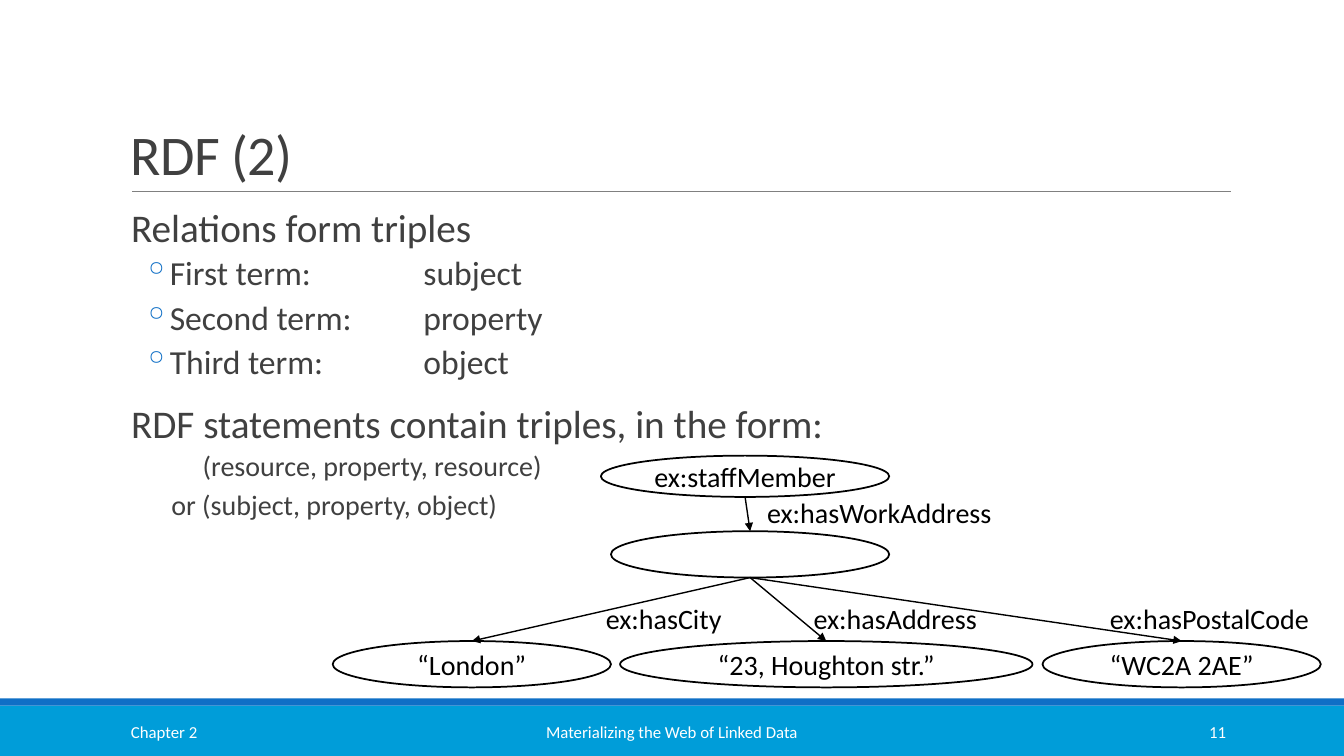
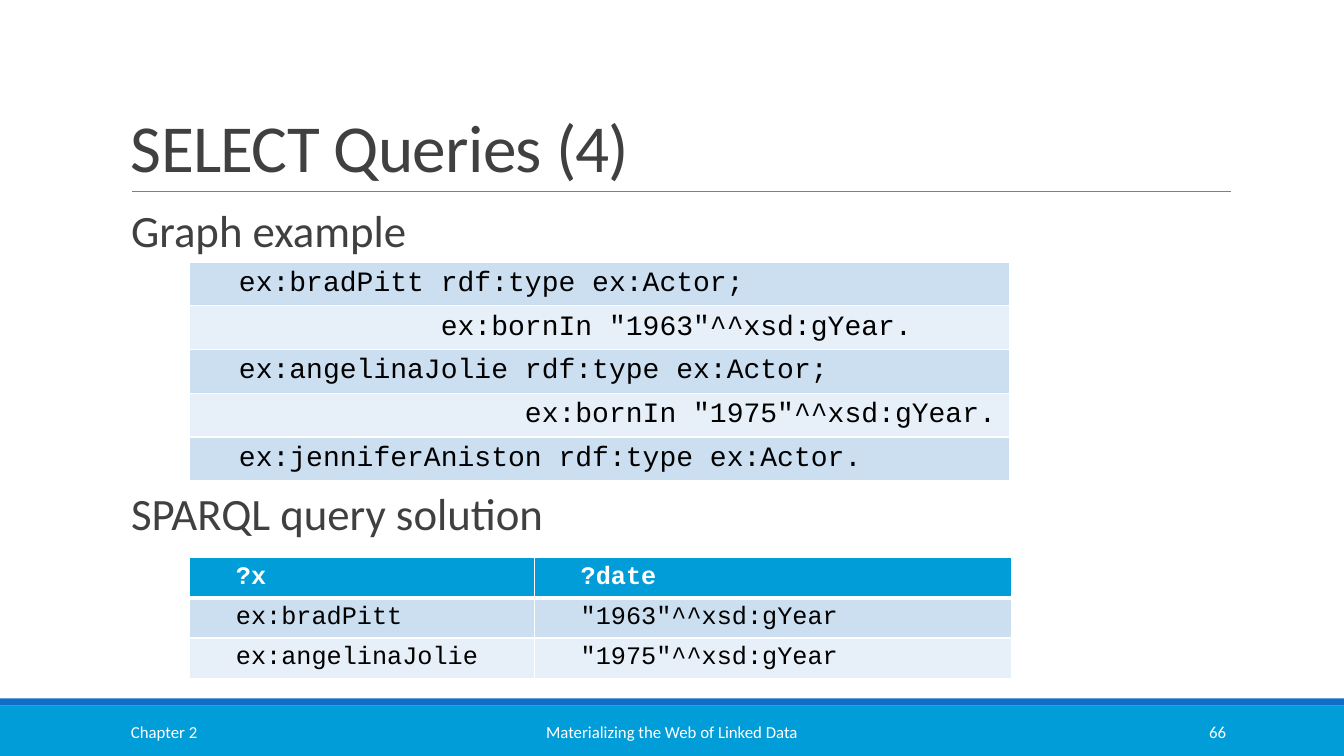
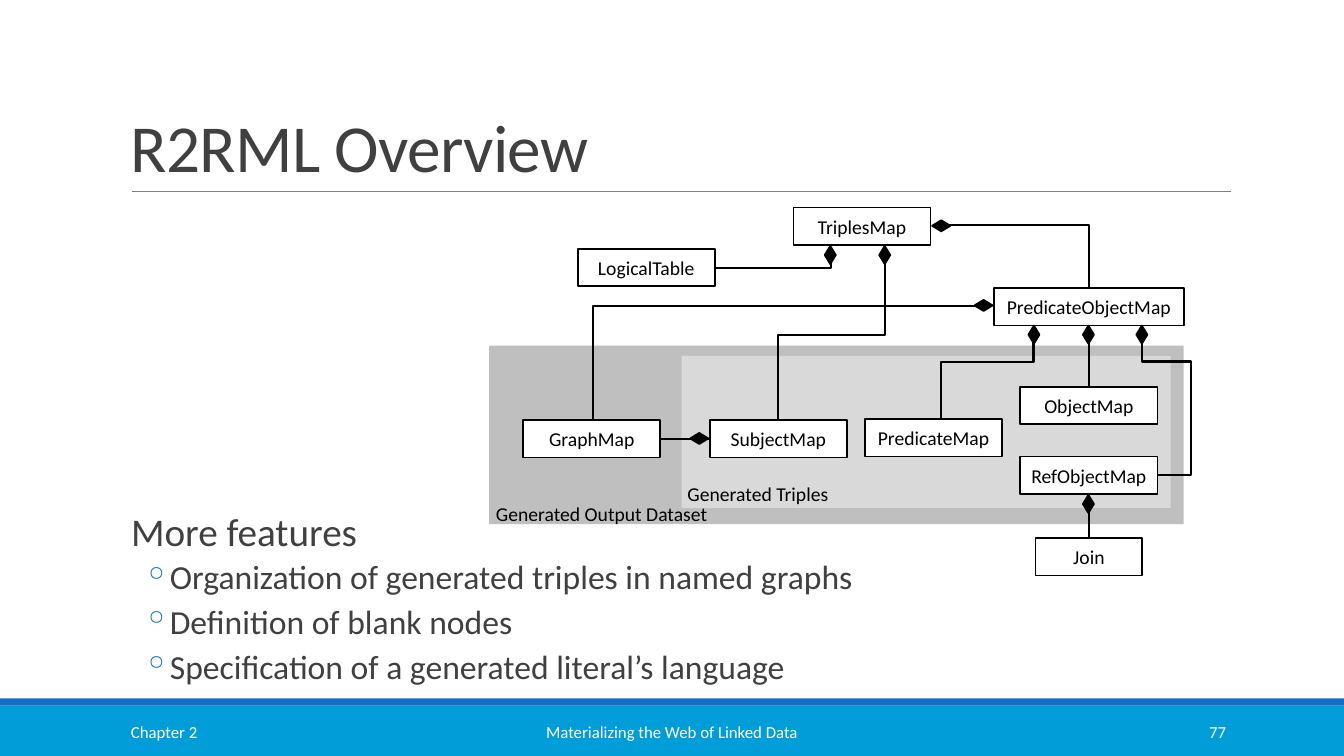
import pptx
import pptx.util
import pptx.dml.color
import pptx.enum.shapes
import pptx.enum.text
import pptx.oxml.ns
import lxml.etree

Inches = pptx.util.Inches
Pt = pptx.util.Pt
KIND = pptx.enum.shapes.MSO_SHAPE
WIRE = pptx.enum.shapes.MSO_CONNECTOR
ALIGN = pptx.enum.text.PP_ALIGN
ANCHOR = pptx.enum.text.MSO_ANCHOR
qn = pptx.oxml.ns.qn

HUES = {
    "band": "009DD9", "strip": "0F6FC6", "rule": "808080", "text": "404040",
    "ink": "000000", "paper": "FFFFFF", "dark": "BFBFBF", "light": "D9D9D9",
    "odd": "CCDFF1", "even": "E7EFF8",
}
SANS, MONO = "Calibri", "Courier New"
TOP, LEFT, BOTTOM, RIGHT = range(4)


def hue(name):
    return pptx.dml.color.RGBColor.from_string(HUES[name])


def node(parent, tag, **attrs):
    return lxml.etree.SubElement(parent, qn(tag), attrs)


def style(para, size, color="ink", face=SANS, bold=False, align=ALIGN.LEFT):
    para.alignment = align
    font = para.font
    font.size, font.name, font.bold = Pt(size), face, bold
    font.color.rgb = hue(color)


def shape(slide, kind, x, y, w, h, fill=None, line=None, text="", size=14):
    item = slide.shapes.add_shape(kind, Inches(x), Inches(y), Inches(w), Inches(h))
    item.shadow.inherit = False
    if fill:
        item.fill.solid()
        item.fill.fore_color.rgb = hue(fill)
    else:
        item.fill.background()
    if line:
        item.line.color.rgb = hue(line)
        item.line.width = Pt(1.25)
    else:
        item.line.fill.background()
    if text:
        frame = item.text_frame
        frame.margin_left = frame.margin_right = 0
        frame.vertical_anchor = ANCHOR.MIDDLE
        frame.text = text
        style(frame.paragraphs[0], size, align=ALIGN.CENTER)
    return item


def area(slide, x, y, w, h, anchor=ANCHOR.TOP):
    box = slide.shapes.add_textbox(Inches(x), Inches(y), Inches(w), Inches(h))
    frame = box.text_frame
    frame.word_wrap = True
    frame.vertical_anchor = anchor
    return frame


def label(slide, x, y, w, h, text, size, color="ink", align=ALIGN.LEFT,
          anchor=ANCHOR.TOP):
    frame = area(slide, x, y, w, h, anchor)
    frame.text = text
    para = frame.paragraphs[0]
    style(para, size, color, align=align)
    return para


def wire(slide, start, end, color="ink", width=1.5, kind=WIRE.STRAIGHT):
    line = slide.shapes.add_connector(kind, *map(Inches, (*start, *end)))
    line.line.color.rgb = hue(color)
    line.line.width = Pt(width)
    node(line._element.spPr, "a:effectLst")
    return line


def arrow(slide, start, goal):
    """Draw an arrow from a point to the top of a shape."""
    line = wire(slide, start, start, width=1)
    line.end_connect(goal, TOP)
    node(line.line._get_or_add_ln(), "a:tailEnd", type="triangle")


def link(slide, first, side, last, other):
    line = wire(slide, (0, 0), (0, 0))
    line.begin_connect(first, side)
    line.end_connect(last, other)


def elbow(slide, start, end, bends, rises=False):
    """Draw a bent line; one that rises leaves its start upwards."""
    line = wire(slide, start, end, kind=WIRE.ELBOW)
    geom = line._element.spPr.find(qn("a:prstGeom"))
    # A single right angle has no adjustment; each further bend adds one.
    geom.set("prst", f"bentConnector{len(bends) + 2}")
    guides = geom.find(qn("a:avLst"))
    if guides is None:
        guides = node(geom, "a:avLst")
    for i, bend in enumerate(bends, 1):
        node(guides, "a:gd", name=f"adj{i}", fmla=f"val {round(bend * 100000)}")
    if rises:
        (x1, y1), (x2, y2) = start, end
        w, h = abs(y2 - y1), abs(x2 - x1)
        line.left, line.top = Inches((x1 + x2 - w) / 2), Inches((y1 + y2 - h) / 2)
        line.width, line.height = Inches(w), Inches(h)
        right = x2 > x1
        form = line._element.spPr.find(qn("a:xfrm"))
        form.set("rot", "5400000" if right else "16200000")
        form.set("flipH", "1" if right else "0")
        form.set("flipV", "1")


def base(deck, title, size, number):
    """Start a slide with the title, rule, bands and footer all share."""
    slide = deck.slides.add_slide(deck.slide_layouts[6])
    shape(slide, KIND.RECTANGLE, 0, 7, 13.33, 0.5, "band")
    shape(slide, KIND.RECTANGLE, 0, 6.93, 13.33, 0.07, "strip")
    wire(slide, (1.31, 1.9), (12.21, 1.9), "rule", 0.5)
    para = label(slide, 1.2, 0.31, 11, 1.59, title, size, "text", anchor=ANCHOR.BOTTOM)
    para.line_spacing = 0.85
    para.runs[0]._r.get_or_add_rPr().set("spc", "-50")
    for x, w, text, align in (
        (1.2, 2.7, "Chapter 2", ALIGN.LEFT),
        (4.03, 5.27, "Materializing the Web of Linked Data", ALIGN.CENTER),
        (10.83, 1.43, str(number), ALIGN.RIGHT),
    ):
        label(slide, x, 7.06, w, 0.4, text, 12, "paper", align, ANCHOR.MIDDLE)
    return slide


def head(text, size=28, before=12):
    return text, size, 0.1, False, before, 2


def point(text):
    return text, 24, 0.42, True, 2, 4


def note(text, indent):
    return text, 20, indent, False, 2, 4


def body(slide, x, y, w, h, items):
    frame = area(slide, x, y, w, h)
    frame.margin_left = frame.margin_right = 0
    for i, (text, size, indent, mark, before, after) in enumerate(items):
        para = frame.add_paragraph() if i else frame.paragraphs[0]
        para.text = text
        props = para._p.get_or_add_pPr()
        props.set("marL", str(Inches(indent)))
        if mark:
            props.set("indent", str(Inches(-0.2)))
            node(node(props, "a:buClr"), "a:srgbClr", val=HUES["strip"])
            node(props, "a:buChar", char="◦")
        if "\t" in text:
            node(node(props, "a:tabLst"), "a:tab", pos=str(Inches(3)), algn="l")
        style(para, size, "text")
        para.line_spacing = 0.9
        if i:
            para.space_before = Pt(before)
        para.space_after = Pt(after)


def edge(cell, *widths):
    """Give a cell white borders: left, right, top, bottom."""
    props = cell._tc.get_or_add_tcPr()
    for i, (side, width) in enumerate(zip("LRTB", widths)):
        line = node(props, f"a:ln{side}", w=str(Pt(width)))
        node(node(line, "a:solidFill"), "a:srgbClr", val=HUES["paper"])
        props.insert(i, line)


def grid(slide, x, y, cols, high, rows, size, header=False, inset=0.1, pad=0.05):
    item = slide.shapes.add_table(len(rows), len(cols), Inches(x), Inches(y),
                                  Inches(sum(cols)), Inches(high * len(rows)))
    table = item.table
    table.first_row = header
    table.horz_banding = False
    for col, w in zip(table.columns, cols):
        col.width = Inches(w)
    for r, texts in enumerate(rows):
        table.rows[r].height = Inches(high)
        top = header and r == 0
        fill = "band" if top else "odd" if (r - header) % 2 == 0 else "even"
        for c, text in enumerate(texts):
            cell = table.cell(r, c)
            cell.fill.solid()
            cell.fill.fore_color.rgb = hue(fill)
            cell.vertical_anchor = ANCHOR.MIDDLE
            cell.margin_left = cell.margin_right = Inches(inset)
            cell.margin_top = cell.margin_bottom = Inches(pad)
            cell.text = text
            para = cell.text_frame.paragraphs[0]
            para._p.get_or_add_pPr().set("marL", str(Inches(0.39)))
            style(para, size, "paper" if top else "ink", MONO, top)
            edge(cell, 1, 1, 3 if header and r == 1 else 1, 3 if top else 1)


def graph(slide, x, y):
    """Draw the tree of one staff member's address."""
    def oval(dx, dy, w, h=0.46, text=""):
        return shape(slide, KIND.OVAL, x + dx, y + dy, w, h,
                     line="ink", text=text, size=20)

    oval(2.66, 0.02, 2.86, 0.41, "ex:staffMember")
    blank = oval(2.76, 0.77, 2.76)
    arrow(slide, (x + 4.09, y + 0.43), blank)
    for dx, w, text in (
        (0, 2.76, "“London”"),
        (2.85, 4.09, "“23, Houghton str.”"),
        (7.04, 2.76, "“WC2A 2AE”"),
    ):
        arrow(slide, (x + 4.14, y + 1.23), oval(dx, 1.86, w, text=text))
    for dx, dy, w, text in (
        (4.21, 0.37, 2.46, "ex:hasWorkAddress"),
        (2.61, 1.42, 1.95, "ex:hasCity"),
        (4.67, 1.42, 1.95, "ex:hasAddress"),
        (7.61, 1.42, 2.32, "ex:hasPostalCode"),
    ):
        label(slide, x + dx, y + dy, w, 0.44, text, 20)


def schema(slide, x, y):
    """Draw the classes of a mapping and how they are composed."""
    for dx, dy, w, h, fill in ((0.05, 1.43, 6.89, 1.77, "dark"),
                               (1.96, 1.53, 4.85, 1.51, "light")):
        shape(slide, KIND.RECTANGLE, x + dx, y + dy, w, h, fill)
    for dx, dy, w, text in ((1.92, 2.73, 1.72, "Generated Triples"),
                            (0.02, 2.93, 2.35, "Generated Output Dataset")):
        label(slide, x + dx, y + dy, w, 0.34, text, 14)
    for (x1, y1), (x2, y2), bends, rises in (
        ((6.68, 2.71), (6.53, 1.27), (-2.22, 0.78), False),
        ((4.53, 2.16), (5.45, 1.27), (0.64,), True),
        ((1.08, 2.17), (5, 1.04), (), True),
        ((2.92, 2.17), (3.98, 0.48), (0.5,), True),
        ((2.29, 0.66), (3.44, 0.48), (1,), False),
        ((6, 0.86), (4.49, 0.23), (), True),
    ):
        elbow(slide, (x + x1, y + y1), (x + x2, y + y2), bends, rises)
    boxes = {
        text: shape(slide, KIND.RECTANGLE, x + dx, y + dy, w, 0.37, "paper", "ink", text)
        for text, dx, dy, w in (
            ("TriplesMap", 3.07, 0.06, 1.36),
            ("LogicalTable", 0.93, 0.47, 1.36),
            ("PredicateObjectMap", 5.06, 0.86, 1.88),
            ("GraphMap", 0.39, 2.17, 1.36),
            ("SubjectMap", 2.24, 2.17, 1.36),
            ("PredicateMap", 3.78, 2.16, 1.36),
            ("ObjectMap", 5.32, 1.84, 1.36),
            ("RefObjectMap", 5.32, 2.53, 1.36),
            ("Join", 5.47, 3.34, 1.06),
        )
    }
    for first, side, last, other in (
        ("Join", TOP, "RefObjectMap", BOTTOM),
        ("ObjectMap", TOP, "PredicateObjectMap", BOTTOM),
        ("GraphMap", RIGHT, "SubjectMap", LEFT),
    ):
        link(slide, boxes[first], side, boxes[last], other)
    for dx, dy, turn in (
        (3.38, 0.44, 0), (3.92, 0.44, 0), (5.4, 1.23, 0), (5.94, 1.23, 0),
        (6.47, 1.23, 0), (5.94, 2.91, 0),
        (4.9, 0.94, 90), (4.48, 0.15, 90), (2.08, 2.26, 90),
    ):
        gem = shape(slide, KIND.DIAMOND, x + dx, y + dy, 0.11, 0.18, "ink", "ink")
        gem.rotation = turn


def triples(deck):
    slide = base(deck, "RDF (2)", 40, 11)
    body(slide, 1.2, 2.02, 11, 4.4, (
        head("Relations form triples"),
        point("First term:\tsubject"),
        point("Second term:\tproperty"),
        point("Third term:\tobject"),
        head("RDF statements contain triples, in the form:"),
        note("(resource, property, resource)", 0.81),
        note("or (subject, property, object)", 0.5),
    ))
    graph(slide, 3.3, 4.5)


def queries(deck):
    slide = base(deck, "SELECT Queries (4)", 48, 66)
    body(slide, 1.2, 2.02, 11, 4.4, (
        head("Graph example", 32),
        head("SPARQL query solution", 32, before=166),
    ))
    grid(slide, 1.88, 5.53, (3.42, 4.73), 0.4, (
        ("?x", "?date"),
        ("ex:bradPitt", '"1963"^^xsd:gYear'),
        ("ex:angelinaJolie", '"1975"^^xsd:gYear'),
    ), 18, header=True, inset=0.07, pad=0)
    grid(slide, 1.88, 2.6, (8.13,), 0.41, (
        ("ex:bradPitt rdf:type ex:Actor;",),
        ('            ex:bornIn "1963"^^xsd:gYear.',),
        ("ex:angelinaJolie rdf:type ex:Actor;",),
        ('                 ex:bornIn "1975"^^xsd:gYear.',),
        ("ex:jenniferAniston rdf:type ex:Actor.",),
    ), 20)


def mapping(deck):
    slide = base(deck, "R2RML Overview", 48, 77)
    body(slide, 1.2, 5.04, 9.71, 2.16, (
        head("More features"),
        point("Organization of generated triples in named graphs"),
        point("Definition of blank nodes"),
        point("Specification of a generated literal’s language"),
    ))
    schema(slide, 4.8, 2)


def main():
    deck = pptx.Presentation()
    deck.slide_width, deck.slide_height = Inches(13.33), Inches(7.5)
    for build in (triples, queries, mapping):
        build(deck)
    deck.save("out.pptx")


if __name__ == "__main__":
    main()
